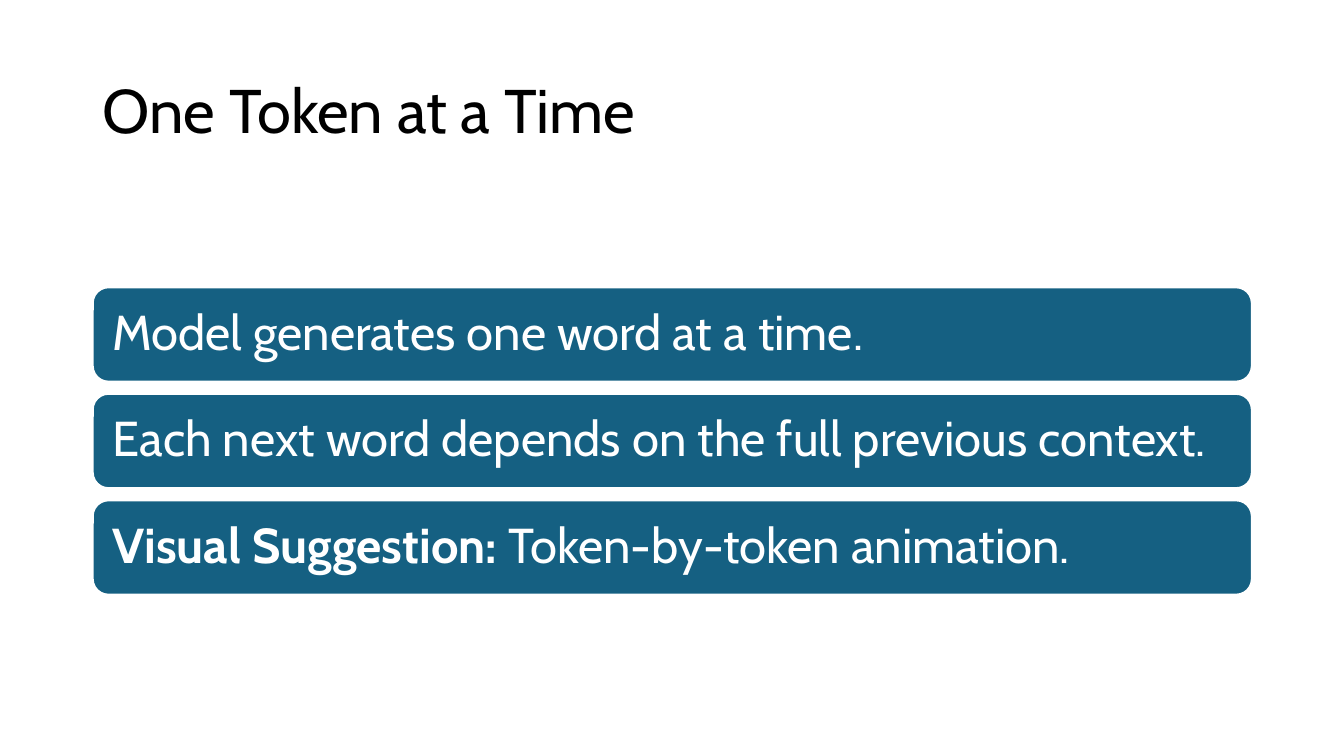
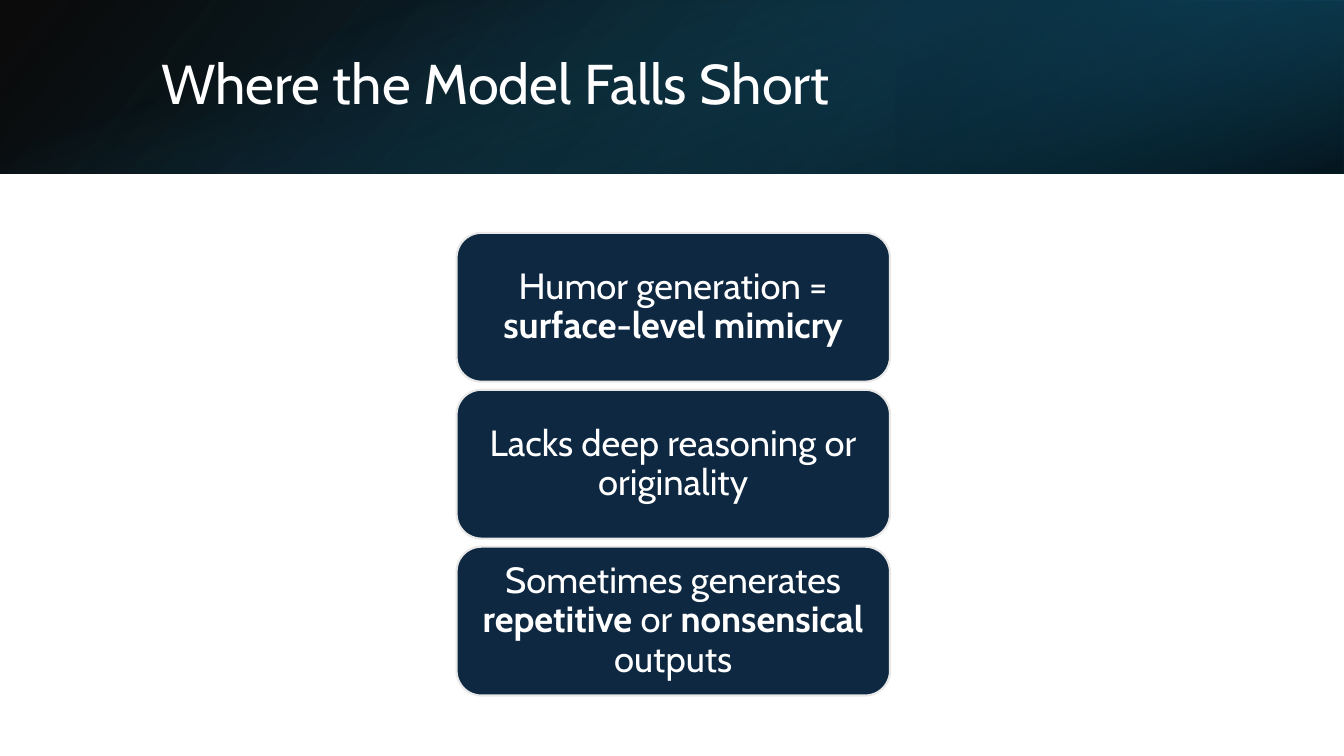
"""Build two slides: a left-aligned and a centred stack of statement cards."""
from lxml.etree import SubElement
from pptx import Presentation
from pptx.dml.color import RGBColor
from pptx.enum.shapes import MSO_SHAPE
from pptx.enum.text import MSO_ANCHOR, PP_ALIGN
from pptx.oxml.ns import qn
from pptx.util import Emu, Pt

FONT = "Cabin"
COLORS = {
    "black": "000000",
    "white": "FFFFFF",
    "silver": "E8E8E8",
    "teal": "156082",
    "navy": "0E2841",
    "band_blue": "104862",
    "band_deep": "0B3041",
}


def px(value):
    """Turn px, 100 to the inch, into EMU."""
    return Emu(round(value * 9144))


def color(name):
    """Return the named palette colour."""
    return RGBColor.from_string(COLORS[name])


def write_text(box, spans, size, color_name, align=PP_ALIGN.LEFT, insets=(10, 5)):
    """Write one paragraph of (text, bold) spans, centred vertically in a box."""
    frame = box.text_frame
    frame.word_wrap = True
    frame.vertical_anchor = MSO_ANCHOR.MIDDLE
    frame.margin_left = frame.margin_right = px(insets[0])
    frame.margin_top = frame.margin_bottom = px(insets[1])
    para = frame.paragraphs[0]
    para.alignment = align
    para.line_spacing = 0.9
    para.font.name = FONT
    para.font.size = Pt(size)
    para.font.color.rgb = color(color_name)
    for text, bold in spans:
        span = para.add_run()
        span.text = text
        if bold:
            span.font.bold = True


def add_title(page, bounds, text, size, color_name):
    """Add the slide title."""
    box = page.shapes.add_textbox(*map(px, bounds))
    write_text(box, [(text, False)], size, color_name)


def add_cards(page, bounds, gap, cards, fill, line, **text_style):
    """Divide the bounds into equal rounded cards, one for each statement."""
    left, top, width, total = bounds
    height = (total - gap * (len(cards) - 1)) / len(cards)
    for index, spans in enumerate(cards):
        card_top = top + index * (height + gap)
        card = page.shapes.add_shape(
            MSO_SHAPE.ROUNDED_RECTANGLE, px(left), px(card_top), px(width), px(height))
        card.shadow.inherit = False
        card.fill.solid()
        card.fill.fore_color.rgb = color(fill)
        card.line.color.rgb = color(line)
        card.line.width = Pt(1.5)
        write_text(card, spans, color_name="white", **text_style)


def add_gradient(page, bounds, stops, angle, rotation=0, flip=False):
    """Add a rectangle with a clockwise gradient of (position, colour, opacity) stops."""
    band = page.shapes.add_shape(MSO_SHAPE.RECTANGLE, *map(px, bounds))
    band.shadow.inherit = False
    band.line.fill.background()
    band.rotation = rotation
    if flip:
        band.element.spPr.find(qn("a:xfrm")).set("flipH", "1")
    band.fill.gradient()
    band.fill.gradient_angle = 360 - angle
    for stop, (position, name, _) in zip(band.fill.gradient_stops, stops):
        stop.position = position / 100
        stop.color.rgb = color(name)
    tints = list(band.element.spPr.iter(qn("a:srgbClr")))
    for tint, (_, _, opacity) in zip(tints, stops):
        SubElement(tint, qn("a:alpha")).set("val", str(opacity * 1000))


def add_header_band(page):
    """Layer the three gradients of the dark header."""
    add_gradient(page, (0, 0, 1333, 172),
                 [(0, "black", 96), (100, "band_blue", 100)], 140, flip=True)
    add_gradient(page, (889, 0, 444, 172),
                 [(19, "band_deep", 68), (100, "teal", 79)], 320, rotation=180, flip=True)
    add_gradient(page, (580, -580, 172, 1333),
                 [(23, "teal", 0), (99, "black", 74)], 340, rotation=90)


def build_token_slide(page):
    """Build the slide on generating one token at a time."""
    add_title(page, (92, 40, 1150, 145), "One Token at a Time", 44, "black")
    cards = [
        [("Model generates one word at a time.", False)],
        [("Each next word depends on the full previous context.", False)],
        [("Visual Suggestion:", True), (" Token-by-token animation.", False)],
    ]
    add_cards(page, (92, 285, 1150, 305), 12, cards, "teal", "white",
              size=35, insets=(15, 15))


def build_limits_slide(page):
    """Build the slide on the limits of the model."""
    add_header_band(page)
    add_title(page, (150, 38, 1098, 96), "Where the Model Falls Short", 40, "white")
    cards = [
        [("Humor generation = ", False), ("surface-level mimicry", True)],
        [("Lacks deep reasoning or originality", False)],
        [("Sometimes generates ", False), ("repetitive", True), (" or ", False),
         ("nonsensical", True), (" outputs", False)],
    ]
    add_cards(page, (453, 231, 430, 459), 8, cards, "navy", "silver",
              size=26, align=PP_ALIGN.CENTER, insets=(11, 5))


def main():
    """Build and save the deck."""
    deck = Presentation()
    deck.slide_width = Emu(12192000)
    deck.slide_height = px(750)
    for build in (build_token_slide, build_limits_slide):
        build(deck.slides.add_slide(deck.slide_layouts[6]))
    deck.save("out.pptx")


if __name__ == "__main__":
    main()
